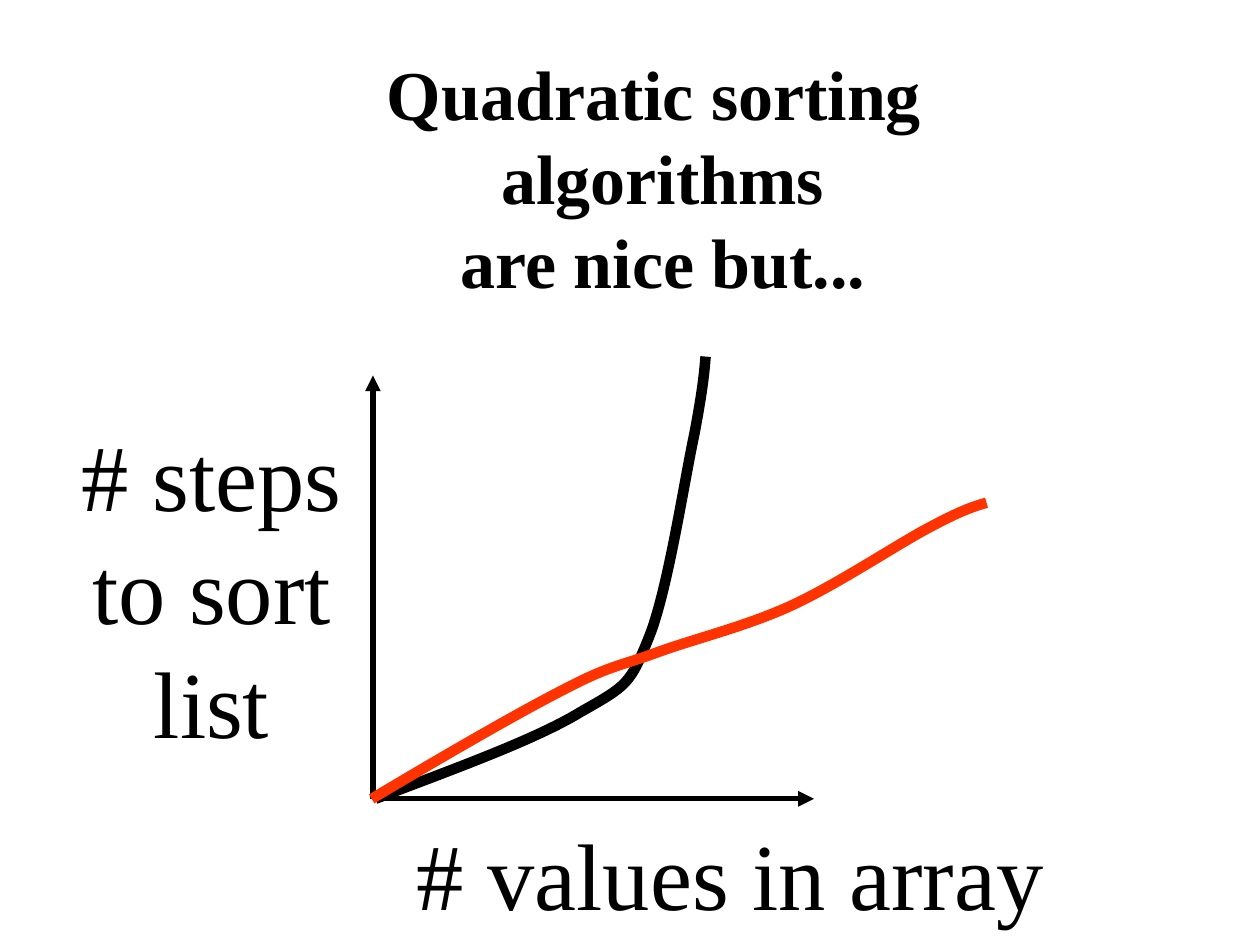
from dataclasses import dataclass

from lxml.etree import SubElement
from pptx import Presentation
from pptx.dml.color import RGBColor
from pptx.enum.shapes import MSO_CONNECTOR
from pptx.enum.text import MSO_ANCHOR, MSO_AUTO_SIZE, PP_ALIGN
from pptx.oxml.ns import qn
from pptx.util import Inches, Pt

BLACK = RGBColor(0x00, 0x00, 0x00)
ORANGE_RED = RGBColor(0xFF, 0x33, 0x00)
FONT = "Times New Roman"
ORIGIN = (2.96, 6.34)

Point = tuple[float, float]


@dataclass
class Label:
    """Wording, frame and style of a text."""
    text: str
    left: float
    top: float
    width: float
    height: float
    size: int
    align: PP_ALIGN = PP_ALIGN.CENTER
    bold: bool = False


@dataclass
class Curve:
    """Chained cubic Beziers: a start, then three points for each."""
    color: RGBColor
    points: list[Point]


HEADING = Label("Quadratic sorting \nalgorithms\nare nice but...",
                2.97, 0.35, 4.58, 2.1, 40, bold=True)
AXIS_LABELS = [
    Label("# values in array", 3.21, 6.43, 5.17, 1, 54, PP_ALIGN.LEFT),
    Label("# steps\nto sort\nlist", 0.55, 3.26, 2.26, 2.8, 54),
]
AXIS_TIPS = [(6.46, 6.34), (2.96, 2.98)]
QUADRATIC = Curve(BLACK, [
    (2.98, 6.34),
    (3.61, 6.1), (4.25, 5.87), (4.61, 5.65),
    (4.98, 5.44), (5, 5.43), (5.15, 5.06),
    (5.3, 4.69), (5.43, 3.82), (5.51, 3.45),
    (5.58, 3.08), (5.59, 2.95), (5.6, 2.83),
])
FASTER = Curve(ORANGE_RED, [
    (2.95, 6.34),
    (3.52, 6), (4.09, 5.67), (4.46, 5.48),
    (4.84, 5.28), (4.91, 5.29), (5.21, 5.18),
    (5.51, 5.07), (5.89, 4.98), (6.25, 4.82),
    (6.61, 4.66), (7.09, 4.34), (7.35, 4.2),
    (7.61, 4.06), (7.72, 4.02), (7.83, 3.99),
])


def write_label(shape, label: Label) -> None:
    """Place a text shape and format its wording."""
    shape.left, shape.top = Inches(label.left), Inches(label.top)
    shape.width, shape.height = Inches(label.width), Inches(label.height)
    frame = shape.text_frame
    frame.text = label.text
    frame.word_wrap = False
    frame.auto_size = MSO_AUTO_SIZE.NONE
    frame.vertical_anchor = MSO_ANCHOR.TOP
    for paragraph in frame.paragraphs:
        paragraph.alignment = label.align
        paragraph.line_spacing = Pt(label.size * 1.2)
        for run in paragraph.runs:
            run.font.name = FONT
            run.font.size = Pt(label.size)
            run.font.bold = label.bold
            run.font.color.rgb = BLACK


def draw_axis(shapes, tip: Point) -> None:
    """Draw an arrow from the origin to the tip."""
    axis = shapes.add_connector(MSO_CONNECTOR.STRAIGHT,
                                *map(Inches, ORIGIN + tip))
    axis.line.color.rgb = BLACK
    axis.line.width = Pt(3)
    SubElement(axis.line._get_or_add_ln(), qn("a:tailEnd"), type="triangle")
    SubElement(axis._element.spPr, qn("a:effectLst"))


def draw_curve(shapes, curve: Curve) -> None:
    """Draw an open outline whose segments are cubic Beziers."""
    start, *controls = [(Inches(x), Inches(y)) for x, y in curve.points]
    builder = shapes.build_freeform(*start)
    builder.add_line_segments(controls, close=False)
    outline = builder.convert_to_shape()
    segments = list(outline._element.iter(qn("a:lnTo")))
    route = segments[0].getparent()
    for first in range(0, len(segments), 3):
        bezier = SubElement(route, qn("a:cubicBezTo"))
        for segment in segments[first:first + 3]:
            bezier.append(segment[0])
            route.remove(segment)
    outline.shadow.inherit = False
    outline.fill.background()
    outline.line.color.rgb = curve.color
    outline.line.width = Pt(6)


def main() -> None:
    """Build and save the slide."""
    presentation = Presentation()
    presentation.slide_width = Inches(10)
    presentation.slide_height = Inches(7.5)
    slide = presentation.slides.add_slide(presentation.slide_layouts[5])
    write_label(slide.shapes.title, HEADING)
    for tip in AXIS_TIPS:
        draw_axis(slide.shapes, tip)
    draw_curve(slide.shapes, QUADRATIC)
    for label in AXIS_LABELS:
        write_label(slide.shapes.add_textbox(0, 0, 0, 0), label)
    draw_curve(slide.shapes, FASTER)
    presentation.save("out.pptx")


main()
